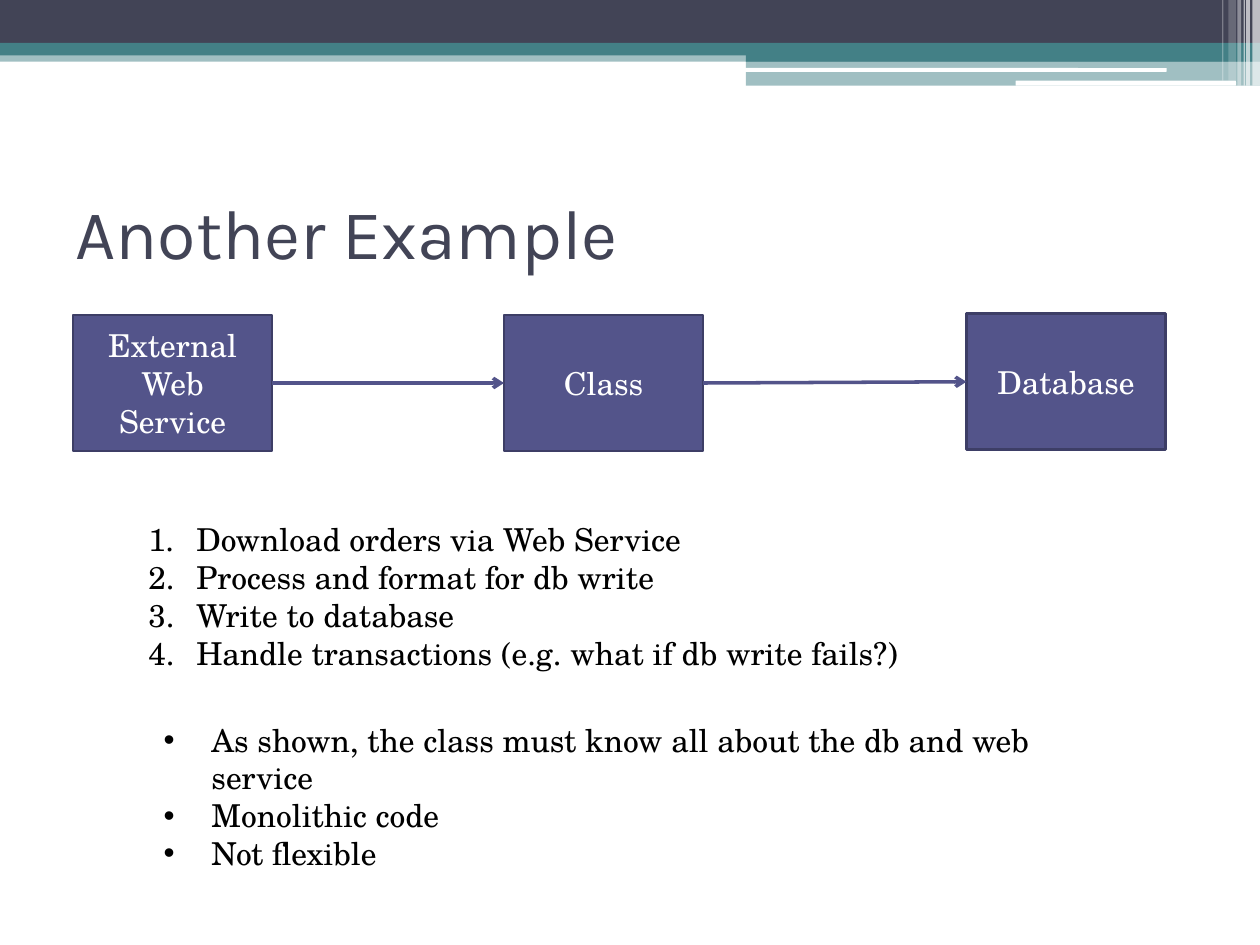
from pptx import Presentation
from pptx.dml.color import RGBColor
from pptx.enum.shapes import MSO_CONNECTOR, MSO_SHAPE
from pptx.enum.text import MSO_ANCHOR, PP_ALIGN
from pptx.oxml.ns import qn
from pptx.util import Inches, Pt
from lxml import etree

RECT = MSO_SHAPE.RECTANGLE
ROUNDED = MSO_SHAPE.ROUNDED_RECTANGLE
STRAIGHT = MSO_CONNECTOR.STRAIGHT
MIDDLE = MSO_ANCHOR.MIDDLE
LEFT, CENTER = PP_ALIGN.LEFT, PP_ALIGN.CENTER

HEADING_FONT, BODY_FONT = "Karla", "TeX Gyre Schola"
DARK, TEAL, WHITE, BLACK = "424456", "438086", "FFFFFF", "000000"
PURPLE, PURPLE_EDGE = "53548A", "3D3E66"
LEFT_SITE, RIGHT_SITE = 1, 3

# left, top, width, height, colour, opacity in percent
BANDS = [
    (0, 0.4, 10, 0.09, TEAL, 50),
    (0, 0, 10, 0.34, DARK, 100),
    (0, 0.34, 10, 0.1, TEAL, 100),
    (5.92, 0.39, 4.08, 0.1, TEAL, 100),
    (5.92, 0.48, 4.08, 0.2, TEAL, 50),
]
WHITE_BARS = [(5.91, 0.54, 3.35, 0.03), (8.06, 0.64, 1.75, 0.04)]
# left, width, height, opacity in percent
STRIPES = [
    (9.94, 0.06, 0.68, 65),
    (9.89, 0.03, 0.68, 65),
    (9.87, 0.01, 0.68, 60),
    (9.82, 0.03, 0.68, 40),
    (9.75, 0.06, 0.64, 20),
    (9.7, 0.01, 0.64, 30),
]
STEPS = [
    "Download orders via Web Service",
    "Process and format for db write",
    "Write to database",
    "Handle transactions (e.g. what if db write fails?)",
]
DRAWBACKS = [
    "As shown, the class must know all about the db and web service",
    "Monolithic code",
    "Not flexible",
]


def rgb(value):
    return RGBColor.from_string(value)


def set_font(paragraph, name, size, color):
    paragraph.font.name = name
    paragraph.font.size = Pt(size)
    paragraph.font.color.rgb = rgb(color)


def add_block(slide, kind, left, top, width, height, color, opacity=100):
    block = slide.shapes.add_shape(
        kind, Inches(left), Inches(top), Inches(width), Inches(height))
    block.shadow.inherit = False
    block.fill.solid()
    block.fill.fore_color.rgb = rgb(color)
    block.line.fill.background()
    if opacity < 100:
        fill_color = block.fill._xPr.find(qn("a:solidFill"))[0]
        etree.SubElement(fill_color, qn("a:alpha"), val=str(opacity * 1000))
    return block


def add_header(slide):
    for left, top, width, height, color, opacity in BANDS:
        add_block(slide, RECT, left, top, width, height, color, opacity)
    for bar in WHITE_BARS:
        add_block(slide, ROUNDED, *bar, WHITE)
    for left, width, height, opacity in STRIPES:
        add_block(slide, RECT, left, 0, width, height, WHITE, opacity)


def add_title(slide, text):
    title = slide.shapes.title
    title.left, title.top = Inches(0.5), Inches(1.25)
    title.width, title.height = Inches(9), Inches(1.17)
    title.text_frame.text = text
    title.text_frame.vertical_anchor = MIDDLE
    heading = title.text_frame.paragraphs[0]
    heading.alignment = LEFT
    set_font(heading, HEADING_FONT, 40, DARK)


def add_component(slide, left, top, label):
    component = add_block(slide, RECT, left, top, 1.58, 1.08, PURPLE)
    component.line.color.rgb = rgb(PURPLE_EDGE)
    component.line.width = Pt(1.5)
    frame = component.text_frame
    frame.text = label
    frame.word_wrap = True
    frame.vertical_anchor = MIDDLE
    frame.paragraphs[0].alignment = CENTER
    set_font(frame.paragraphs[0], BODY_FONT, 18, WHITE)
    return component


def add_arrow(slide, source, target):
    arrow = slide.shapes.add_connector(STRAIGHT, 0, 0, 0, 0)
    arrow.begin_connect(source, RIGHT_SITE)
    arrow.end_connect(target, LEFT_SITE)
    arrow.line.color.rgb = rgb(PURPLE)
    arrow.line.width = Pt(2)
    etree.SubElement(arrow.line._get_or_add_ln(), qn("a:tailEnd"), type="arrow")
    etree.SubElement(arrow._element.spPr, qn("a:effectLst"))


def add_list(slide, left, top, items, numbered=False):
    box = slide.shapes.add_textbox(
        Inches(left), Inches(top), Inches(7.17), Inches(1.31))
    frame = box.text_frame
    frame.word_wrap = True
    frame.text = "\n".join(items)
    for item in frame.paragraphs:
        set_font(item, BODY_FONT, 18, BLACK)
        properties = item._p.get_or_add_pPr()
        properties.set("marL", str(Inches(0.38)))
        properties.set("indent", str(-Inches(0.38)))
        if numbered:
            marker = etree.Element(qn("a:buAutoNum"), type="arabicPeriod")
            properties.insert(0, marker)
        else:
            face = etree.Element(qn("a:buFont"), typeface="Arial")
            marker = etree.Element(qn("a:buChar"), char="•")
            properties.insert(0, face)
            properties.insert(1, marker)


def main():
    deck = Presentation()
    deck.slide_width, deck.slide_height = Inches(10), Inches(7.5)
    slide = deck.slides.add_slide(deck.slide_layouts[5])

    add_header(slide)
    add_title(slide, "Another Example")

    # Data flow
    service = add_component(slide, 0.58, 2.5, "External\vWeb Service")
    processor = add_component(slide, 4, 2.5, "Class")
    database = add_component(slide, 7.67, 2.49, "Database")
    add_arrow(slide, service, processor)
    add_arrow(slide, processor, database)

    # Explanations
    add_list(slide, 1.08, 4.08, STEPS, numbered=True)
    add_list(slide, 1.2, 5.67, DRAWBACKS)

    deck.save("out.pptx")


main()
